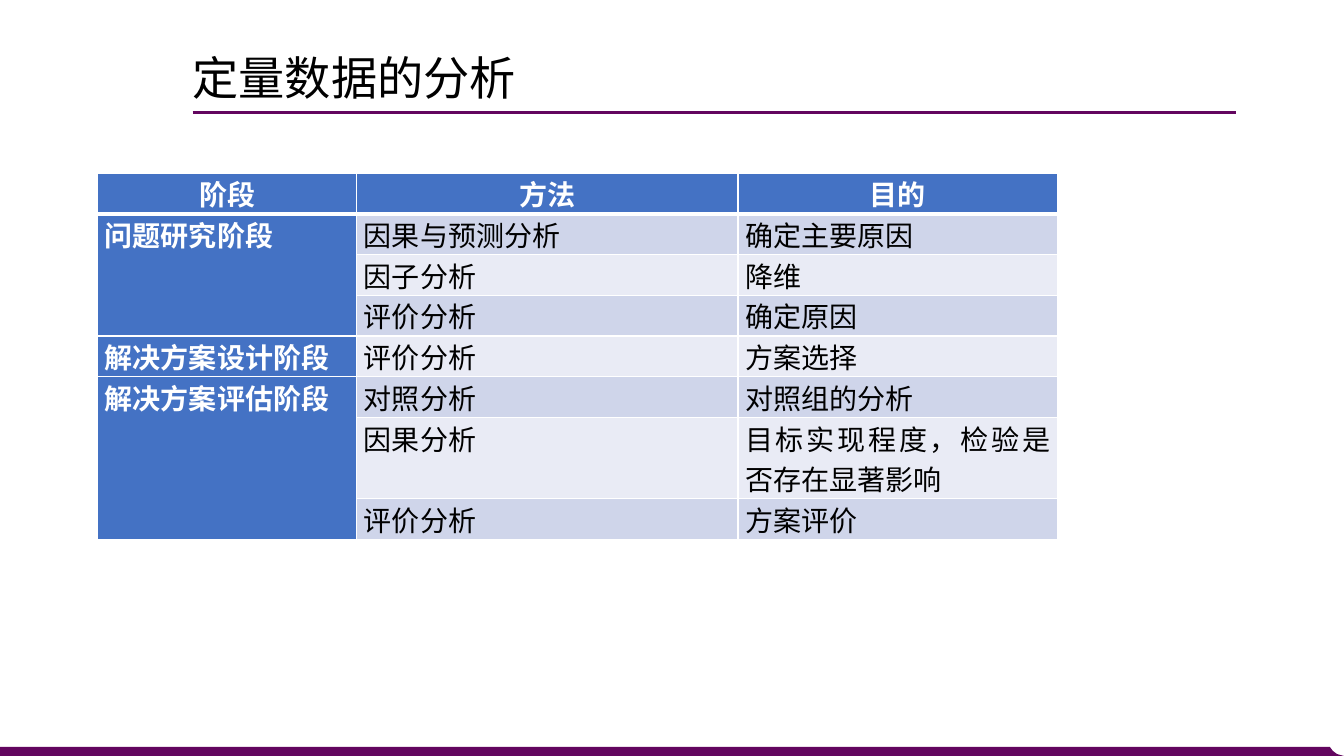
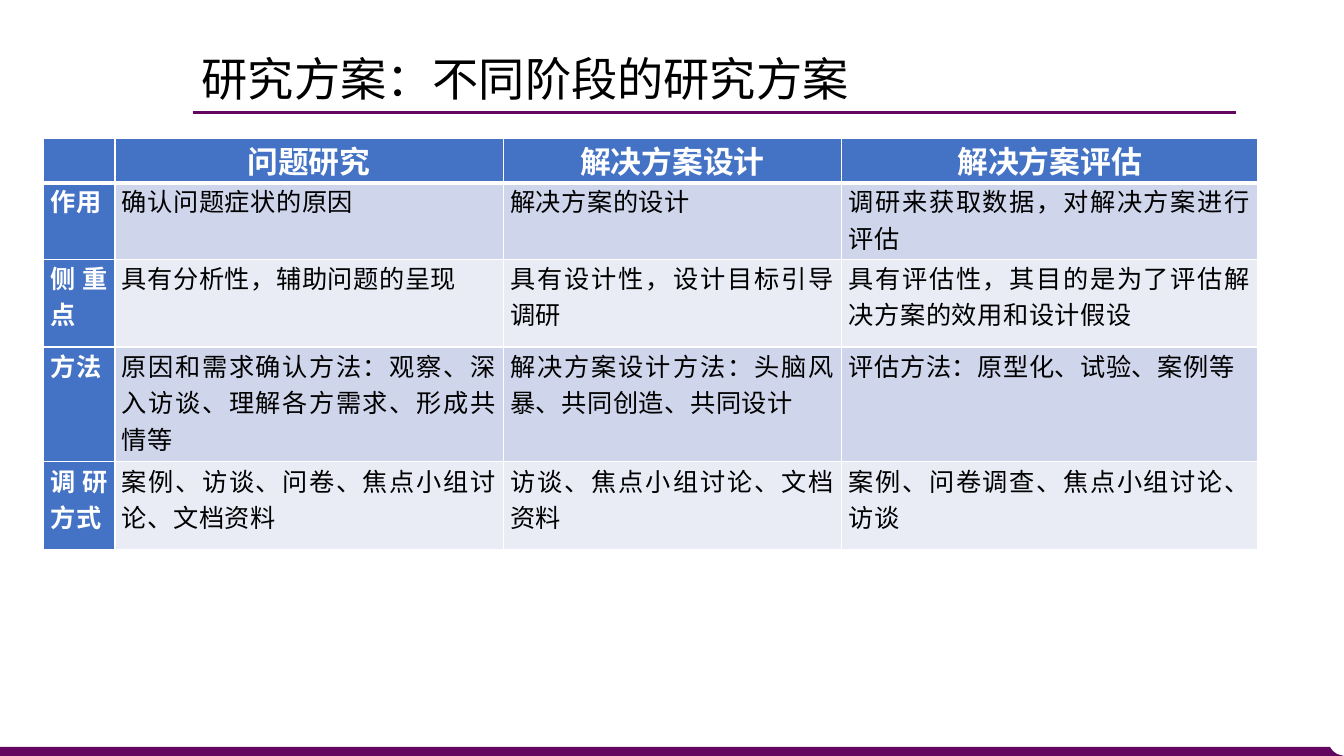
import pptx
import pptx.util
import pptx.dml.color
import pptx.enum.shapes
import pptx.enum.text
import pptx.oxml
import pptx.oxml.ns
from lxml import etree

Inches, Pt = pptx.util.Inches, pptx.util.Pt
Align = pptx.enum.text.PP_ALIGN
Anchor = pptx.enum.text.MSO_ANCHOR
qn = pptx.oxml.ns.qn

WIDE, HIGH = 13.33, 7.5
PLUM, BLUE, WHITE, BLACK = "63065F", "4472C4", "FFFFFF", "000000"
BANDS = ["CFD5EA", "E9EBF5"]
LATIN, HAN = "Arial", "Noto Sans CJK SC"

STAGES = [
    ["阶段", "方法", "目的"],
    ["问题研究阶段", "因果与预测分析", "确定主要原因"],
    [None, "因子分析", "降维"],
    [None, "评价分析", "确定原因"],
    ["解决方案设计阶段", "评价分析", "方案选择"],
    ["解决方案评估阶段", "对照分析", "对照组的分析"],
    [None, "因果分析", "目标实现程度，检验是否存在显著影响"],
    [None, "评价分析", "方案评价"],
]
PLANS = [
    ["", "问题研究", "解决方案设计", "解决方案评估"],
    ["作用", "确认问题症状的原因", "解决方案的设计",
     "调研来获取数据，对解决方案进行评估"],
    ["侧重点", "具有分析性，辅助问题的呈现", "具有设计性，设计目标引导调研",
     "具有评估性，其目的是为了评估解决方案的效用和设计假设"],
    ["方法", "原因和需求确认方法：观察、深入访谈、理解各方需求、形成共情等",
     "解决方案设计方法：头脑风暴、共同创造、共同设计",
     "评估方法：原型化、试验、案例等"],
    ["调研方式", "案例、访谈、问卷、焦点小组讨论、文档资料",
     "访谈、焦点小组讨论、文档资料",
     "案例、问卷调查、焦点小组讨论、访谈"],
]


def color(code):
    return pptx.dml.color.RGBColor.from_string(code)


def write(para, text, size, ink, face, bold=False, gap=0):
    """Add one run; gap is the letter spacing in points."""
    run = para.add_run()
    run.text = text
    font = run.font
    font.name, font.size, font.bold = face, Pt(size), bold
    font.color.rgb = color(ink)
    props = font._element
    props.set("lang", "zh-CN")
    if gap:
        props.set("spc", str(round(gap * 100)))
    east = etree.Element(qn("a:ea"), typeface=HAN)
    props.find(qn("a:latin")).addnext(east)


def frame(slide):
    """Draw the bottom band and the rule below the title."""
    edge = [(13.19, 7.41), (13.22, 7.45), (13.26, 7.48), (WIDE, HIGH), (0, HIGH)]
    pen = slide.shapes.build_freeform(Inches(0), Inches(7.41))
    pen.add_line_segments([(Inches(x), Inches(y)) for x, y in edge], close=True)
    band = pen.convert_to_shape()
    band.shadow.inherit = False
    band.fill.solid()
    band.fill.fore_color.rgb = color(PLUM)
    band.line.fill.background()

    rule = slide.shapes.add_connector(
        pptx.enum.shapes.MSO_CONNECTOR.STRAIGHT,
        Inches(1.91), Inches(1.12), Inches(12.26), Inches(1.12))
    rule.line.color.rgb = color(PLUM)
    rule.line.width = Pt(2.25)
    etree.SubElement(rule._element.spPr, qn("a:effectLst"))


def title(slide, text, box):
    head = slide.shapes.title
    head.left, head.top, head.width, head.height = map(Inches, box)
    area = head.text_frame
    area.word_wrap = True
    area.auto_size = pptx.enum.text.MSO_AUTO_SIZE.NONE
    area.vertical_anchor = Anchor.MIDDLE
    area.margin_left = area.margin_right = Inches(0.1)
    area.margin_top = area.margin_bottom = Inches(0.05)
    para = area.paragraphs[0]
    para.alignment, para.line_spacing = Align.LEFT, 0.9
    write(para, text, 33, BLACK, LATIN)


def border(cell, row):
    """White cell lines, thick between the header and the body."""
    thick = {"T": row == 1, "B": row == 0}
    props = cell._tc.get_or_add_tcPr()
    for side in "LRTB":
        width = Pt(3 if thick.get(side) else 1)
        line = etree.SubElement(props, qn("a:ln" + side), w=str(width))
        fill = etree.SubElement(line, qn("a:solidFill"))
        etree.SubElement(fill, qn("a:srgbClr"), val=WHITE)


def grid(slide, data, spot, cols, rows, face, sizes, gap=0):
    """Draw a table; None in the first column extends the cell above."""
    table = slide.shapes.add_table(
        len(rows), len(cols), *map(Inches, (*spot, sum(cols), sum(rows)))).table
    for col, width in zip(table.columns, cols):
        col.width = Inches(width)
    for line, height in zip(table.rows, rows):
        line.height = Inches(height)

    start = 0
    for r, texts in enumerate(data):
        for c, text in enumerate(texts):
            cell = table.cell(r, c)
            top, dark = r == 0, r == 0 or c == 0
            border(cell, r)
            cell.fill.solid()
            cell.fill.fore_color.rgb = color(BLUE if dark else BANDS[(r - 1) % 2])
            cell.margin_left = cell.margin_right = Inches(0.07)
            cell.margin_top = cell.margin_bottom = 0
            if text:
                para = cell.text_frame.paragraphs[0]
                para.alignment = Align.CENTER if top else Align.JUSTIFY
                write(para, text, sizes[0 if top else 1], WHITE if dark else BLACK,
                      face, dark, 0 if top else gap)
        if texts[0] is not None:
            start = r
        elif r + 1 == len(data) or data[r + 1][0] is not None:
            table.cell(start, 0).merge(table.cell(r, 0))


def page(deck, text, box):
    slide = deck.slides.add_slide(deck.slide_layouts[5])
    frame(slide)
    title(slide, text, box)
    return slide


def main():
    deck = pptx.Presentation()
    deck.slide_width, deck.slide_height = Inches(WIDE), Inches(HIGH)

    slide = page(deck, "定量数据的分析", (1.81, 0.53, 6.38, 0.53))
    grid(slide, STAGES, (0.97, 1.72), [2.57, 3.78, 3.17],
         [0.4] * 6 + [0.8, 0.4], LATIN, (20, 20))

    slide = page(deck, "研究方案：不同阶段的研究方案", (1.9, 0.51, 7.38, 0.6))
    grid(slide, PLANS, (0.43, 1.37), [0.71, 3.85, 3.36, 4.12],
         [0.44, 0.76, 0.87, 1.14, 0.87], HAN, (22, 18), 0.4)

    deck.save("out.pptx")


if __name__ == "__main__":
    main()
